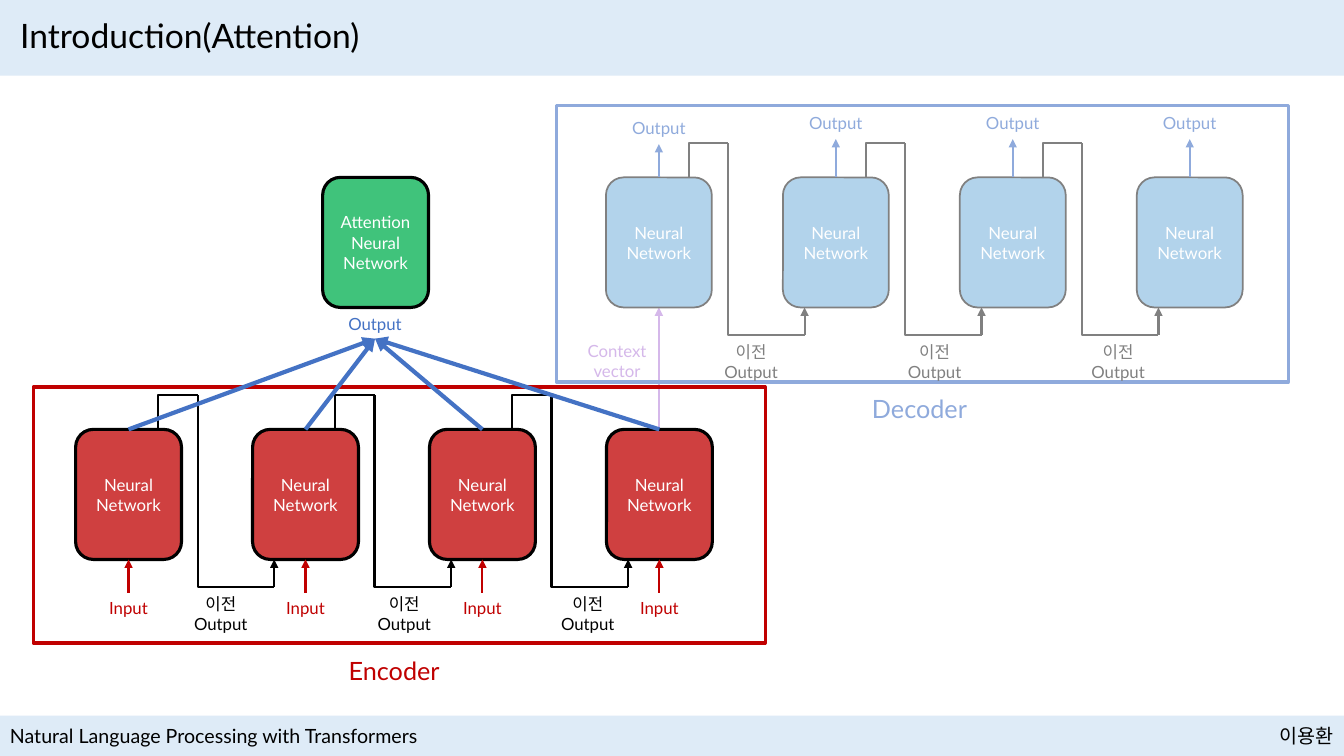
from lxml.etree import SubElement
from pptx import Presentation
from pptx.dml.color import RGBColor
from pptx.enum.shapes import MSO_CONNECTOR, MSO_SHAPE
from pptx.enum.text import MSO_ANCHOR, PP_ALIGN
from pptx.oxml.ns import qn
from pptx.util import Inches, Pt

STRAIGHT, ELBOW = MSO_CONNECTOR.STRAIGHT, MSO_CONNECTOR.ELBOW
RECTANGLE, ROUNDED = MSO_SHAPE.RECTANGLE, MSO_SHAPE.ROUNDED_RECTANGLE
LEFT, CENTER, RIGHT = PP_ALIGN.LEFT, PP_ALIGN.CENTER, PP_ALIGN.RIGHT
MIDDLE = MSO_ANCHOR.MIDDLE

THEME = {
    "font": "Lato",
    "title": 24, "stage": 18, "footer": 14, "label": 12,
    "band": "DEEBF7", "black": "000000", "white": "FFFFFF",
    "red": "C00000", "green": "00B050", "blue": "0070C0",
    "attention": "4472C4", "pale_blue": "8FAADC",
    "gray": "808080", "context": "D5B8EA",
}
WIDTH, HEIGHT = 13.33, 7.5
COLUMNS, PITCH = 4, 1.755
CELL_WIDTH, CELL_HEIGHT = 1.05, 1.29
ENCODER_LEFT, ENCODER_TOP = 0.75, 4.26
DECODER_LEFT, DECODER_TOP = 6.01, 1.76
HALF = CELL_WIDTH / 2

deck = Presentation()
deck.slide_width, deck.slide_height = Inches(WIDTH), Inches(HEIGHT)
page = deck.slides.add_slide(deck.slide_layouts[5])


def write(box, text, color, size="label", align=CENTER):
    frame = box.text_frame
    frame.word_wrap = True
    for index, line in enumerate(text.split("\n")):
        para = frame.paragraphs[0] if index == 0 else frame.add_paragraph()
        para.alignment = align
        span = para.add_run()
        span.text = line
        span.font.color.rgb = RGBColor.from_string(THEME[color])
        for name, value in {"name": THEME["font"], "size": Pt(THEME[size])}.items():
            setattr(span.font, name, value)


def connect(start, end, color, weight=1.5, arrow=True, elbow=False):
    (x1, y1), (x2, y2) = start, end
    if elbow:
        middle_x, middle_y = (x1 + x2) / 2, (y1 + y2) / 2
        reach, rise = abs(y2 - y1) / 2, (x2 - x1) / 2
        rise = rise if y2 > y1 else -rise
        ends = (middle_x + reach, middle_y - rise, middle_x - reach, middle_y + rise)
    else:
        ends = (x1, y1, x2, y2)
    link = page.shapes.add_connector(ELBOW if elbow else STRAIGHT, *map(Inches, ends))
    link.line.color.rgb = RGBColor.from_string(THEME[color])
    link.line.width = Pt(weight)
    properties = link._element.spPr
    if elbow:
        properties.find(qn("a:xfrm")).set("rot", str((270 if y2 > y1 else 90) * 60000))
        guides = properties.find(qn("a:prstGeom")).find(qn("a:avLst"))
        SubElement(guides, qn("a:gd"), name="adj1", fmla="val 100000")
    if arrow:
        SubElement(properties.find(qn("a:ln")), qn("a:tailEnd"), type="triangle")
    SubElement(properties, qn("a:effectLst"))


context_x = DECODER_LEFT + HALF
connect((context_x, ENCODER_TOP), (context_x, DECODER_TOP + CELL_HEIGHT), "context")

stages = [
    {"left": ENCODER_LEFT, "top": ENCODER_TOP, "loop": "black"},
    {"left": DECODER_LEFT, "top": DECODER_TOP, "loop": "gray"},
]
cells = [(ENCODER_LEFT + column * PITCH, ENCODER_TOP, "red", 75, "black", 2.25, "Neural\nNetwork")
         for column in range(COLUMNS)]
cells += [(DECODER_LEFT + column * PITCH, DECODER_TOP, "blue", 30, "gray", 1.25, "Neural\nNetwork")
          for column in range(COLUMNS)]
cells.append((3.2, DECODER_TOP, "green", 75, "black", 2.25, "Attention\nNeural\nNetwork"))
areas = [
    (0, 0, WIDTH, HEIGHT * 0.1, RECTANGLE, "band", 100, None, 0, ""),
    (0, 7.1, WIDTH, 0.4, RECTANGLE, "band", 100, None, 0, ""),
]
areas += [(left, top, CELL_WIDTH, CELL_HEIGHT, ROUNDED, *look)
          for left, top, *look in cells]
areas += [
    (0.33, 3.84, 7.26, 2.54, RECTANGLE, None, 0, "red", 2.25, ""),
    (5.52, 1.05, 7.26, 2.74, RECTANGLE, None, 0, "pale_blue", 2.25, ""),
]
for left, top, width, height, kind, fill, opacity, outline, weight, text in areas:
    box = page.shapes.add_shape(kind, *map(Inches, (left, top, width, height)))
    box.shadow.inherit = False
    if fill:
        box.fill.solid()
        box.fill.fore_color.rgb = RGBColor.from_string(THEME[fill])
        if opacity < 100:
            tint = box._element.spPr.find(qn("a:solidFill"))[0]
            SubElement(tint, qn("a:alpha"), val=str(opacity * 1000))
    else:
        box.fill.background()
    if outline:
        box.line.color.rgb = RGBColor.from_string(THEME[outline])
        box.line.width = Pt(weight)
    else:
        box.line.fill.background()
    if text:
        box.text_frame.vertical_anchor = MIDDLE
        write(box, text, "white")

title = page.shapes.title
title.left, title.top, title.width, title.height = map(Inches, (0.1, 0.1, 13.14, 0.55))
title.text_frame.vertical_anchor = MIDDLE
write(title, "Introduction(Attention)", "black", "title", LEFT)
title.text_frame.paragraphs[0].line_spacing = 0.9
page.shapes._spTree.append(title._element)

labels = [
    (0, 7.13, 4.5, 0.34, "Natural Language Processing with Transformers", "black", "footer", LEFT),
    (12.42, 7.13, 0.91, 0.34, "이용환", "black", "footer", RIGHT),
    (8.55, 3.85, 1.19, 0.4, "Decoder", "pale_blue", "stage", LEFT),
    (3.36, 6.45, 1.19, 0.4, "Encoder", "red", "stage", LEFT),
    (5.72, 3.33, 0.8, 0.5, "Context\nvector", "context"),
    (3.32, 3.06, 0.8, 0.3, "Output", "attention"),
]

for stage in stages:
    for column in range(COLUMNS - 1):
        left, top = stage["left"] + column * PITCH, stage["top"]
        peak, floor, bend, entry = top - 0.34, top + 1.56, left + 1.21, left + 1.97
        color = stage["loop"]
        connect((left + 0.82, top), (bend, peak), color, arrow=False, elbow=True)
        connect((bend, peak), (entry, floor), color, arrow=False, elbow=True)
        connect((entry, floor), (entry, top + CELL_HEIGHT), color)
        label_left = stage["left"] + 1.04 + column * 1.82
        labels.append((label_left, top + 1.58, 0.8, 0.5, "이전\nOutput", color))

for column in range(COLUMNS):
    encoder_x = ENCODER_LEFT + column * PITCH + HALF
    decoder_x = DECODER_LEFT + column * PITCH + HALF
    drop = 0 if column else 0.05
    connect((encoder_x, 5.88), (encoder_x, ENCODER_TOP + CELL_HEIGHT), "red")
    connect((decoder_x, DECODER_TOP), (decoder_x, 1.38 + drop), "pale_blue")
    connect((encoder_x, ENCODER_TOP), (3.72, 3.36), "attention", 3)
    labels.append((encoder_x - 0.32, 5.88, 0.64, 0.3, "Input", "red"))
    labels.append((decoder_x - 0.4, 1.07 + drop, 0.8, 0.3, "Output", "pale_blue"))

for left, top, width, height, *content in labels:
    write(page.shapes.add_textbox(*map(Inches, (left, top, width, height))), *content)

deck.save("out.pptx")
